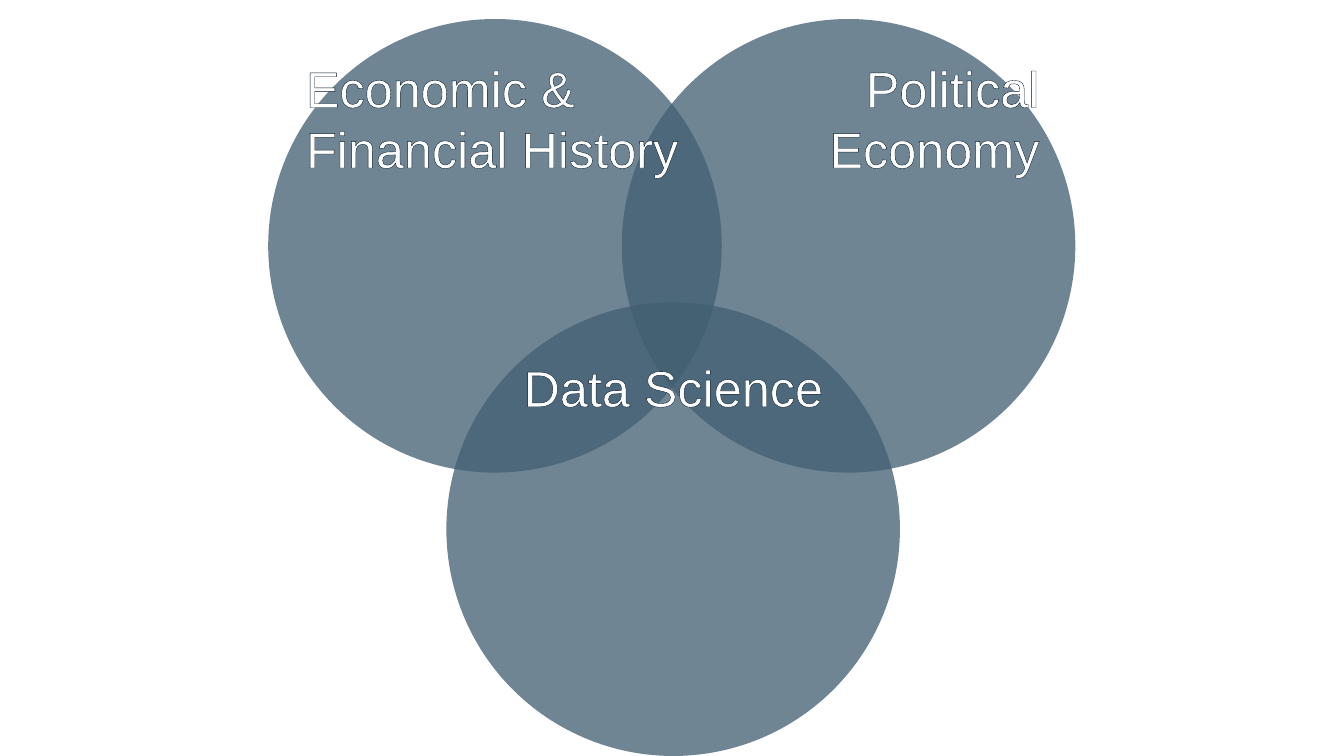
from lxml.etree import SubElement
from pptx import Presentation
from pptx.dml.color import RGBColor
from pptx.enum.shapes import MSO_SHAPE
from pptx.enum.text import MSO_ANCHOR, PP_ALIGN
from pptx.oxml import parse_xml
from pptx.oxml.ns import nsdecls, qn
from pptx.util import Cm, Pt

COLOURS = {"circle": "425F73", "text": "FFFFFF", "outline": "001526"}
CIRCLE_SIZE = 11.43
LABEL_SIZE = 13.46
OPACITY = 76

TOPICS = [
    ("Economic & Financial History", PP_ALIGN.LEFT, (6.76, 0.48), (5.74, -0.53)),
    ("Political Economy", PP_ALIGN.RIGHT, (15.67, 0.48), (14.71, -0.53)),
    ("Data Science", PP_ALIGN.CENTER, (11.25, 7.62), (10.24, 7.01)),
]


def add_ellipse(page, corner, size):
    left, top = corner
    ellipse = page.shapes.add_shape(
        MSO_SHAPE.OVAL, Cm(left), Cm(top), Cm(size), Cm(size)
    )
    ellipse.shadow.inherit = False
    ellipse.line.fill.background()
    return ellipse


def add_circle(page, corner):
    circle = add_ellipse(page, corner, CIRCLE_SIZE)
    circle.fill.solid()
    circle.fill.fore_color.rgb = RGBColor.from_string(COLOURS["circle"])
    colour = circle.fill._xPr.find(qn("a:solidFill"))[0]
    SubElement(colour, qn("a:alpha"), val=str(OPACITY * 1000))


def outline_text(span):
    outline = parse_xml(
        f'<a:ln {nsdecls("a")} w="{Pt(1)}"><a:solidFill>'
        f'<a:srgbClr val="{COLOURS["outline"]}"/></a:solidFill></a:ln>'
    )
    span.font._element.insert(0, outline)


def add_label(page, corner, text, alignment):
    label = add_ellipse(page, corner, LABEL_SIZE)
    label.fill.background()
    frame = label.text_frame
    frame.word_wrap = True
    frame.vertical_anchor = MSO_ANCHOR.TOP
    frame.margin_left = frame.margin_right = 0
    frame.margin_top = frame.margin_bottom = 0
    para = frame.paragraphs[0]
    para.alignment = alignment
    span = para.add_run()
    span.text = text
    span.font.name = "Arial"
    span.font.size = Pt(36)
    span.font.color.rgb = RGBColor.from_string(COLOURS["text"])
    outline_text(span)


def build_venn(page):
    for _, _, circle_corner, _ in TOPICS:
        add_circle(page, circle_corner)
    for text, alignment, _, label_corner in TOPICS:
        add_label(page, label_corner, text, alignment)


def main():
    deck = Presentation()
    deck.slide_width = Cm(33.87)
    deck.slide_height = Cm(19.05)
    page = deck.slides.add_slide(deck.slide_layouts[6])
    build_venn(page)
    deck.save("out.pptx")


if __name__ == "__main__":
    main()
